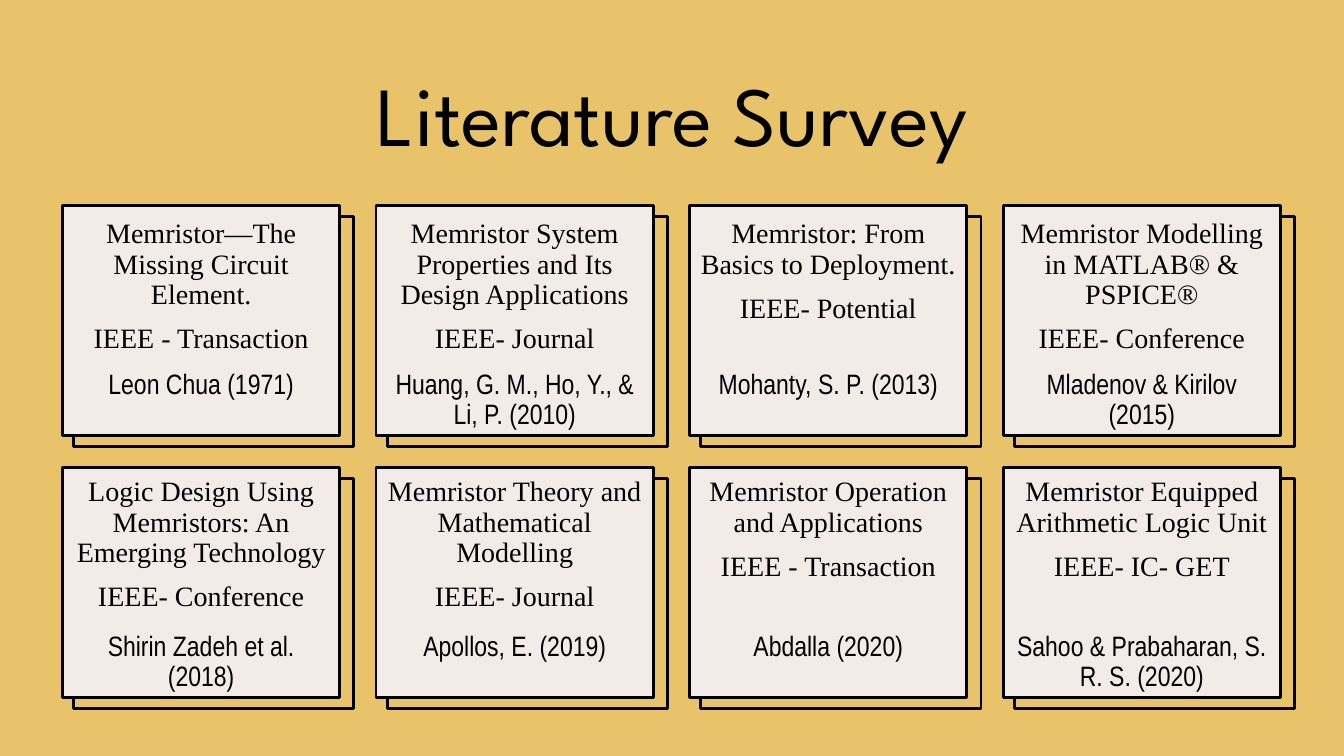
from pptx import Presentation
from pptx.dml.color import RGBColor
from pptx.enum.shapes import MSO_SHAPE
from pptx.enum.text import MSO_ANCHOR, PP_ALIGN
from pptx.util import Inches, Pt

RECTANGLE = MSO_SHAPE.RECTANGLE
CENTER = PP_ALIGN.CENTER
TOP, BOTTOM = MSO_ANCHOR.TOP, MSO_ANCHOR.BOTTOM
GOLD = RGBColor(0xE9, 0xC3, 0x69)
CREAM = RGBColor(0xF3, 0xEB, 0xE8)
BLACK = RGBColor(0, 0, 0)

COLUMNS = 4
LEFT, COLUMN_STEP = 0.62, 3.11
TOP_EDGE, ROW_STEP = 2.04, 2.6
CARD_WIDTH, CARD_HEIGHT = 2.75, 2.28
BACK_WIDTH, BACK_OFFSET = 2.78, 0.11
PAPER_HEIGHT = 1.48
PAPER_OFFSETS = (0.09, 0.05)  # one for each row
AUTHOR_INSET = 1.63

PAPERS = [
    ("Memristor—The Missing Circuit Element.", "IEEE - Transaction", "Leon Chua (1971)"),
    ("Memristor System Properties and Its Design Applications", "IEEE- Journal",
     "Huang, G. M., Ho, Y., & Li, P. (2010)"),
    ("Memristor: From Basics to Deployment.", "IEEE- Potential", "Mohanty, S. P. (2013)"),
    ("Memristor Modelling in MATLAB® & PSPICE®", "IEEE- Conference",
     "Mladenov & Kirilov (2015)"),
    ("Logic Design Using Memristors: An Emerging Technology", "IEEE- Conference",
     "Shirin Zadeh et al. (2018)"),
    ("Memristor Theory and Mathematical Modelling", "IEEE- Journal", "Apollos, E. (2019)"),
    ("Memristor Operation and Applications", "IEEE - Transaction", "Abdalla (2020)"),
    ("Memristor Equipped Arithmetic Logic Unit", "IEEE- IC- GET",
     "Sahoo & Prabaharan, S. R. S. (2020)"),
]

prs = Presentation()
prs.slide_width, prs.slide_height = Inches(13.33), Inches(7.5)
slide = prs.slides.add_slide(prs.slide_layouts[6])
slide.background.fill.solid()
slide.background.fill.fore_color.rgb = GOLD


def add_panel(left, top, width, fill):
    panel = slide.shapes.add_shape(
        RECTANGLE, Inches(left), Inches(top), Inches(width), Inches(CARD_HEIGHT))
    panel.shadow.inherit = False
    panel.fill.solid()
    panel.fill.fore_color.rgb = fill
    panel.line.color.rgb = BLACK
    panel.line.width = Pt(2)
    return panel


def write(shape, lines, font, size, anchor=TOP, spacing=0.9):
    """Fill a shape with centred black paragraphs."""
    frame = shape.text_frame
    frame.word_wrap = True
    frame.vertical_anchor = anchor
    frame.text = "\n".join(lines)
    for index, paragraph in enumerate(frame.paragraphs):
        paragraph.alignment = CENTER
        paragraph.line_spacing = spacing
        if index:
            paragraph.space_before = Pt(10)
        paragraph.font.name = font
        paragraph.font.size = Pt(size)
        paragraph.font.color.rgb = BLACK


heading = slide.shapes.add_textbox(Inches(1.25), Inches(0.56), Inches(10.84), Inches(1.11))
write(heading, ["Literature Survey"], "League Spartan", 60, BOTTOM, 1.0)

for number, (paper, venue, author) in enumerate(PAPERS):
    row, column = divmod(number, COLUMNS)
    left = LEFT + column * COLUMN_STEP
    top = TOP_EDGE + row * ROW_STEP

    add_panel(left + BACK_OFFSET, top + BACK_OFFSET, BACK_WIDTH, GOLD)
    card = add_panel(left, top, CARD_WIDTH, CREAM)
    card.text_frame.margin_top = Inches(AUTHOR_INSET)
    write(card, [author], "Arial Narrow", 20)

    summary = slide.shapes.add_textbox(
        Inches(left), Inches(top + PAPER_OFFSETS[row]), Inches(CARD_WIDTH), Inches(PAPER_HEIGHT))
    write(summary, [paper, venue], "Times New Roman", 20)

prs.save("out.pptx")
